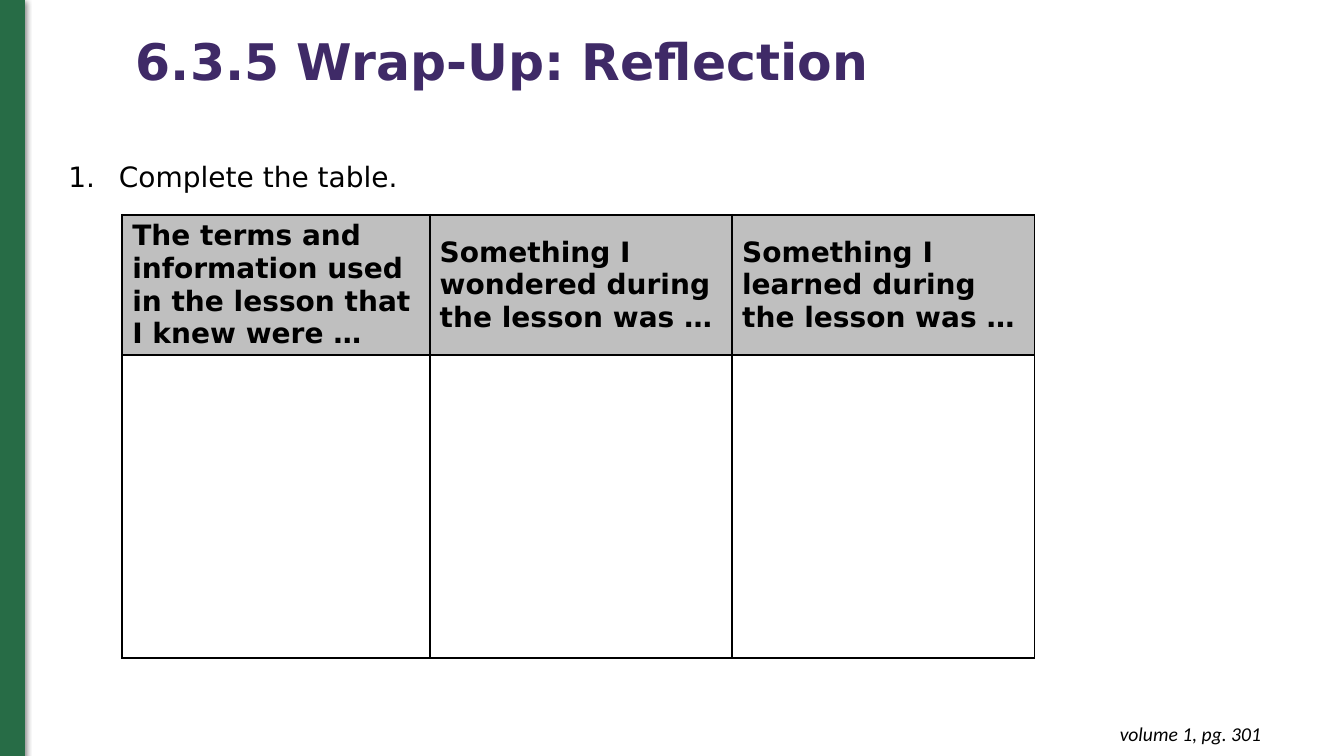
from lxml import etree
from pptx import Presentation
from pptx.dml.color import RGBColor
from pptx.enum.shapes import MSO_SHAPE
from pptx.enum.text import MSO_ANCHOR, MSO_AUTO_SIZE, PP_ALIGN
from pptx.oxml import parse_xml
from pptx.oxml.ns import qn
from pptx.util import Pt

RECTANGLE = MSO_SHAPE.RECTANGLE
TOP, MIDDLE = MSO_ANCHOR.TOP, MSO_ANCHOR.MIDDLE
LEFT, RIGHT = PP_ALIGN.LEFT, PP_ALIGN.RIGHT
GROW = MSO_AUTO_SIZE.SHAPE_TO_FIT_TEXT

TITLE = "6.3.5 Wrap-Up: Reflection"
TASK = "Complete the table."
PAGE_REFERENCE = "volume 1, pg. 301"
PROMPTS = [
    "The terms and information used in the lesson that I knew were …",
    "Something I wondered during the lesson was …",
    "Something I learned during the lesson was …",
]

COLORS = {"green": "276C46", "purple": "3F2A67", "black": "000000", "gray": "BFBFBF"}
SLIDE_SIZE = (960, 540)
BAR_SIZE = (17.5, 540.5)
TABLE_ORIGIN = (87.3, 153.4)
COLUMN_WIDTHS = [219.6, 216, 216]
ROW_HEIGHTS = [100.3, 216]
BORDER_WIDTH = 1.5
HANGING_INDENT = 36

TITLE_FORMAT = {"name": "DejaVu Sans", "size": Pt(36), "bold": True}
TASK_FORMAT = {"name": "DejaVu Sans", "size": Pt(20)}
PROMPT_FORMAT = {"name": "DejaVu Sans", "size": Pt(20), "bold": True}
REFERENCE_FORMAT = {"name": "Calibri", "size": Pt(14), "italic": True}

DRAWING_NS = "http://schemas.openxmlformats.org/drawingml/2006/main"
BAR_SHADOW = f"""<a:effectLst xmlns:a="{DRAWING_NS}">
<a:outerShdw blurRad="{Pt(4.5)}" dist="{Pt(1.5)}" dir="5400000" rotWithShape="0">
<a:srgbClr val="{COLORS['black']}"><a:alpha val="50000"/></a:srgbClr>
</a:outerShdw></a:effectLst>"""


def rgb(color):
    return RGBColor.from_string(COLORS[color])


def write(paragraph, text, font_format, color):
    run = paragraph.add_run()
    run.text = text
    for attribute, value in font_format.items():
        setattr(run.font, attribute, value)
    run.font.color.rgb = rgb(color)


def add_text(slide, box, text, font_format, color="black", inset=3.6,
             anchor=TOP, alignment=LEFT):
    """Add a one-paragraph text box; inset is the top and bottom margin."""
    frame = slide.shapes.add_textbox(*map(Pt, box)).text_frame
    frame_format = {
        "word_wrap": True, "auto_size": GROW, "vertical_anchor": anchor,
        "margin_left": Pt(7.2), "margin_right": Pt(7.2),
        "margin_top": Pt(inset), "margin_bottom": Pt(inset),
    }
    for attribute, value in frame_format.items():
        setattr(frame, attribute, value)
    paragraph = frame.paragraphs[0]
    paragraph.alignment = alignment
    write(paragraph, text, font_format, color)
    return paragraph


def number(paragraph):
    properties = paragraph._p.get_or_add_pPr()
    properties.set("marL", str(Pt(HANGING_INDENT)))
    properties.set("indent", str(-Pt(HANGING_INDENT)))
    bullet_color = etree.SubElement(properties, qn("a:buClr"))
    etree.SubElement(bullet_color, qn("a:srgbClr"), val=COLORS["black"])
    etree.SubElement(properties, qn("a:buFont"), typeface="+mj-lt")
    etree.SubElement(properties, qn("a:buAutoNum"), type="arabicPeriod")


def add_borders(cell):
    properties = cell._tc.get_or_add_tcPr()
    for side in ("lnL", "lnR", "lnT", "lnB"):
        line = etree.SubElement(properties, qn(f"a:{side}"), w=str(Pt(BORDER_WIDTH)))
        fill = etree.SubElement(line, qn("a:solidFill"))
        etree.SubElement(fill, qn("a:srgbClr"), val=COLORS["black"])


def add_side_bar(slide):
    bar = slide.shapes.add_shape(RECTANGLE, 0, 0, *map(Pt, BAR_SIZE))
    bar.fill.solid()
    bar.fill.fore_color.rgb = rgb("green")
    bar.line.color.rgb = rgb("green")
    bar.line.width = Pt(0.75)
    bar._element.spPr.append(parse_xml(BAR_SHADOW))


def add_reflection_table(slide):
    size = (sum(COLUMN_WIDTHS), sum(ROW_HEIGHTS))
    table = slide.shapes.add_table(
        len(ROW_HEIGHTS), len(COLUMN_WIDTHS), *map(Pt, TABLE_ORIGIN + size)).table
    table.first_row = table.horz_banding = False
    for column, width in zip(table.columns, COLUMN_WIDTHS):
        column.width = Pt(width)
    for row, height in zip(table.rows, ROW_HEIGHTS):
        row.height = Pt(height)
    for cell in table.iter_cells():
        add_borders(cell)
        cell.fill.background()
    for cell, prompt in zip(table.rows[0].cells, PROMPTS):
        cell.fill.solid()
        cell.fill.fore_color.rgb = rgb("gray")
        cell.vertical_anchor = MIDDLE
        write(cell.text_frame.paragraphs[0], prompt, PROMPT_FORMAT, "black")


def main():
    presentation = Presentation()
    presentation.slide_width, presentation.slide_height = map(Pt, SLIDE_SIZE)
    slide = presentation.slides.add_slide(presentation.slide_layouts[6])
    add_side_bar(slide)
    add_reflection_table(slide)
    add_text(slide, (700.6, 508.3, 207.4, 31.7), PAGE_REFERENCE, REFERENCE_FORMAT,
             inset=7.2, alignment=RIGHT)
    title = add_text(slide, (90, 22.3, 840.2, 46.8), TITLE, TITLE_FORMAT,
                     color="purple", anchor=MIDDLE)
    title.line_spacing = 0.9
    number(add_text(slide, (41.8, 110.2, 883.4, 31.7), TASK, TASK_FORMAT))
    presentation.save("out.pptx")


if __name__ == "__main__":
    main()
